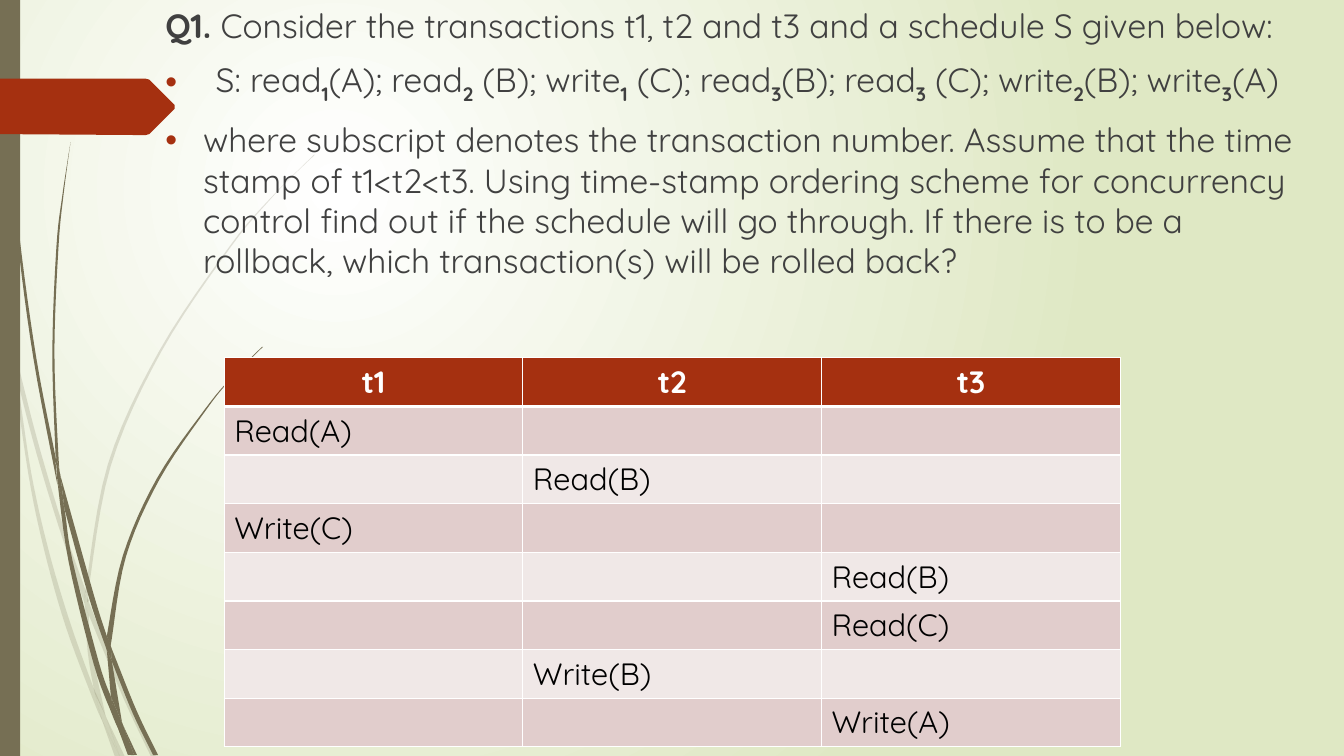
from lxml.etree import SubElement
from pptx import Presentation
from pptx.dml.color import RGBColor
from pptx.enum.text import MSO_ANCHOR as Anchor, MSO_AUTO_SIZE as AutoSize, PP_ALIGN as Align
from pptx.enum.shapes import MSO_SHAPE as Preset
from pptx.oxml import parse_xml
from pptx.oxml.ns import nsdecls, qn
from pptx.util import Pt

FONT = "Quicksand"
OLIVE, RUST, GREY, WHITE, BLACK = "766F54", "A53010", "404040", "FFFFFF", "000000"
BANDS = ("E1CDCC", "F0E8E7")

PALE_WISPS = [
    ([(0, 203), (6.5, 231.8), (7.9, 252)], [(7.2, 247.7), (0, 215.3)]),
    ([(10.1, 248.4), (26, 311.8), (44.6, 374.4), (61.2, 421.9)],
     [(60.5, 431.3), (41.8, 375.8), (25.9, 323.3), (12.2, 270.7)]),
    ([(63.4, 429.1), (66.2, 437), (91.4, 498.2), (111.6, 540.7)],
     [(108, 540.7), (88.6, 499.7), (63.4, 439.2)]),
    ([(75.6, 511.9), (89.3, 540.7)], [(85.7, 540.7)]),
    ([(7.9, 252), (12.2, 270.7), (22.3, 337.7), (34.5, 392.2), (50.4, 445.7), (67, 491.8)],
     [(71.3, 509), (72.7, 514.1), (66.2, 499), (46.8, 447.1), (31.6, 393), (20.2, 338.4), (7.9, 252)]),
    ([(63.4, 439.2), (65.5, 465.1), (75.6, 511.9)],
     [(69.1, 498.2), (67, 491.8), (62.6, 465.1), (60.5, 431.3)]),
    ([(224.6, 110.9), (208.8, 126), (193, 142.6), (164.9, 176.4), (115.2, 251.3), (79.2, 332.6),
      (63.4, 420.5), (63.4, 429.1)],
     [(61.2, 421.9), (61.2, 420.5), (77, 331.9), (113.8, 250.6), (164.2, 175.7), (193, 141.8),
      (224.6, 110.2)]),
    ([(72.7, 514.1), (85.7, 540.7)], [(82.1, 540.7)]),
    ([(63.4, 429.1), (63.4, 439.2)], [(60.5, 431.3), (61.2, 421.9)]),
    ([(67, 491.8), (75.6, 511.9), (85.7, 540.7)], [(72.7, 514.1), (71.3, 509), (67, 491.8)]),
]
DARK_WISPS = [
    ([(2.2, 0), (2.9, 34.6), (5, 79.2), (12.2, 167.8), (23.8, 255.6), (41, 346.3)],
     [(39.6, 329), (39.6, 326.2), (25.9, 255.6), (13.7, 167), (5.8, 78.5), (3.6, 34.6), (2.9, 0)]),
    ([(43.2, 339.8), (67, 424.8), (76.3, 454.3)], [(76.3, 464.4), (63.4, 426.2), (46.1, 363.6)]),
    ([(79.2, 461.5), (81.4, 467.3), (97.9, 508.3), (113, 539.3)],
     [(109.4, 539.3), (95, 509.8), (79.9, 472.3)]),
    ([(41, 343.4), (46.1, 363.6), (51.8, 400.3), (70.6, 473), (79.2, 497.5)],
     [(83.5, 516.2), (84.2, 519.8), (79.9, 509.8), (67, 474.5), (49, 401), (41, 343.4)]),
    ([(50.4, 101.5), (45.4, 139), (41.8, 176.4), (38.9, 251.3), (41.8, 326.2), (43.2, 339.8)],
     [(39.6, 323.3), (37.4, 251.3), (40.3, 176.4), (44.6, 139), (50.4, 101.5)]),
    ([(87.8, 517.7), (97.9, 539.3)], [(95.8, 539.3)]),
    ([(43.2, 339.8), (46.1, 363.6)], [(41, 343.4), (39.6, 323.3)]),
    ([(187.9, 247.7), (166.3, 269.3), (147.6, 292.3), (113.8, 342.7), (90, 397.4), (79.9, 455.8),
      (79.2, 461.5)],
     [(76.3, 454.3), (87.8, 396.7), (112.3, 341.3), (146.9, 291.6), (166.3, 268.6), (187.2, 247.7)]),
    ([(84.2, 519.8), (94.3, 539.3)], [(91.4, 539.3)]),
    ([(79.9, 472.3), (87.1, 515.5), (87.8, 517.7)], [(79.2, 497.5), (76.3, 464.4)]),
    ([(76.3, 454.3), (79.2, 461.5), (79.9, 472.3)], [(76.3, 464.4)]),
    ([(79.2, 497.5), (87.8, 517.7), (95.8, 539.3)], [(93.6, 539.3), (84.2, 519.8), (79.2, 497.5)]),
]
MARKER = [(124.7, 75), (124.7, 77.8), (106.6, 95.8), (104, 96.5), (0, 95.8), (0, 56.2),
          (104, 56.2), (106.6, 56.9)]

INTRO = ["Q1. ", "Consider the transactions t1, t2 and t3 and a schedule S given below:"]
SCHEDULE = ["\tS: read", "1", "(A); read", "2", " (B); write", "1", " (C); read", "3",
            "(B); read", "3", " (C); write", "2", "(B); write", "3", "(A)"]
QUESTION = ["where subscript denotes the transaction number. Assume that the time stamp of "
            "t1<t2<t3. Using time-stamp ordering scheme for concurrency control find out if the "
            "schedule will go through. If there is to be a rollback, which transaction(s) will "
            "be rolled back?"]
TRANSACTIONS = ["t1", "t2", "t3"]
STEPS = [(0, "Read(A)"), (1, "Read(B)"), (0, "Write(C)"), (2, "Read(B)"), (2, "Read(C)"),
         (1, "Write(B)"), (2, "Write(A)")]


def paint(colour_format, colour):
    """Give a colour format a hex colour."""
    colour_format.rgb = RGBColor.from_string(colour)


def fill_plain(shape, colour):
    """Fill a shape with one colour, without line or shadow."""
    shape.fill.solid()
    paint(shape.fill.fore_color, colour)
    shape.line.fill.background()
    shape.shadow.inherit = False


def smooth(knots, steps=6):
    """Return points on a Catmull-Rom curve through the knots."""
    padded = [knots[0], *knots, knots[-1]]
    curve = []
    for window in zip(padded, padded[1:], padded[2:], padded[3:]):
        for t in (step / steps for step in range(steps)):
            curve.append(tuple(
                q + t * (r - p + t * (2 * p - 5 * q + 4 * r - s + t * (3 * (q - r) + s - p))) / 2
                for p, q, r, s in zip(*window)))
    return curve + [knots[-1]]


def add_outline(slide, box, points, colour):
    """Draw a closed plain outline from points relative to the box."""
    placed = [(Pt(box[0] + x), Pt(box[1] + y)) for x, y in points]
    builder = slide.shapes.build_freeform(*placed[0])
    builder.add_line_segments(placed[1:], close=True)
    outline = builder.convert_to_shape()
    fill_plain(outline, colour)
    return outline


def add_backdrop(slide, box):
    """Set the radial background and draw wisps, side bar and marker."""
    left, top, _, height = box
    fill = slide.background.fill
    fill.gradient()
    for stop, colour in zip(fill.gradient_stops, (WHITE, "DFE8C4")):
        paint(stop.color, colour)
    gradient = slide.element.find(".//" + qn("a:gradFill"))
    gradient.replace(gradient.find(qn("a:lin")), parse_xml(
        f'<a:path {nsdecls("a")} path="circle">'
        '<a:fillToRect l="50000" t="50000" r="100000" b="100000"/></a:path>'))
    for wisps, opacity in ((PALE_WISPS, 20000), (DARK_WISPS, 100000)):
        for near_edge, far_edge in wisps:
            wisp = add_outline(slide, box, smooth(near_edge) + smooth(far_edge), OLIVE)
            tint = wisp.element.spPr.find(qn("a:solidFill"))[0]
            SubElement(tint, qn("a:alpha"), val=str(opacity))
    bar = slide.shapes.add_shape(Preset.RECTANGLE, Pt(left), Pt(top), Pt(14.4), Pt(height))
    fill_plain(bar, OLIVE)
    add_outline(slide, box, MARKER, RUST)


def format_bullet(paragraph, bulleted):
    """Set the indent and bullet of a paragraph."""
    properties = paragraph._p.get_or_add_pPr()
    indent = Pt(27) if bulleted else 0
    properties.set("marL", str(indent))
    properties.set("indent", str(-indent))
    if bulleted:
        SubElement(SubElement(properties, qn("a:buClr")), qn("a:srgbClr"), val=RUST)
        SubElement(properties, qn("a:buFont"), typeface="Arial")
        SubElement(properties, qn("a:buChar"), char="•")
    else:
        SubElement(properties, qn("a:buNone"))


def add_question(slide, box):
    """Write the question in the body placeholder."""
    body = slide.placeholders[1]
    slide.shapes._spTree.append(body.element)
    body.left, body.top, body.width, body.height = map(Pt, box)
    frame = body.text_frame
    frame.auto_size, frame.vertical_anchor = AutoSize.NONE, Anchor.TOP
    for index, pieces in enumerate((INTRO, SCHEDULE, QUESTION)):
        paragraph = frame.add_paragraph() if index else frame.paragraphs[0]
        paragraph.space_before = Pt(10)
        format_bullet(paragraph, index > 0)
        paragraph.font.name, paragraph.font.size = FONT, Pt(24)
        paint(paragraph.font.color, GREY)
        for piece in pieces:
            run = paragraph.add_run()
            run.text = piece
            run.font.bold = piece.isdigit() or piece == INTRO[0]
            if piece.isdigit():
                run.font._element.set("baseline", "-25000")


def format_cell(cell, text, colour, header):
    """Write, fill and border one table cell."""
    properties = cell._tc.get_or_add_tcPr()
    for side in ("lnL", "lnR", "lnT", "lnB"):
        width = Pt(3) if header and side == "lnB" else Pt(1)
        edge = SubElement(properties, qn("a:" + side), w=str(width))
        SubElement(SubElement(edge, qn("a:solidFill")), qn("a:srgbClr"), val=WHITE)
    cell.fill.solid()
    paint(cell.fill.fore_color, colour)
    paragraph = cell.text_frame.paragraphs[0]
    paragraph.font.name, paragraph.font.size, paragraph.font.bold = FONT, Pt(22), header
    paint(paragraph.font.color, WHITE if header else BLACK)
    if header:
        paragraph.alignment = Align.CENTER
    if text:
        paragraph.add_run().text = text


def add_schedule(slide, box):
    """Lay out the schedule as a table, one step to a row."""
    rows = [TRANSACTIONS] + [[step if column == owner else "" for column in range(3)]
                             for owner, step in STEPS]
    schedule = slide.shapes.add_table(len(rows), 3, *map(Pt, box)).table
    for index, texts in enumerate(rows):
        colour = BANDS[(index - 1) % 2] if index else RUST
        for column, text in enumerate(texts):
            format_cell(schedule.cell(index, column), text, colour, index == 0)


deck = Presentation()
deck.slide_width, deck.slide_height = Pt(960), Pt(540)
page = deck.slides.add_slide(deck.slide_layouts[1])
heading = page.shapes.title.element
heading.getparent().remove(heading)
add_backdrop(page, (0, 0, 960, 540))
add_question(page, (110.9, 0, 825.1, 297.4))
add_schedule(page, (160.2, 255.6, 640, 277.6))
deck.save("out.pptx")
